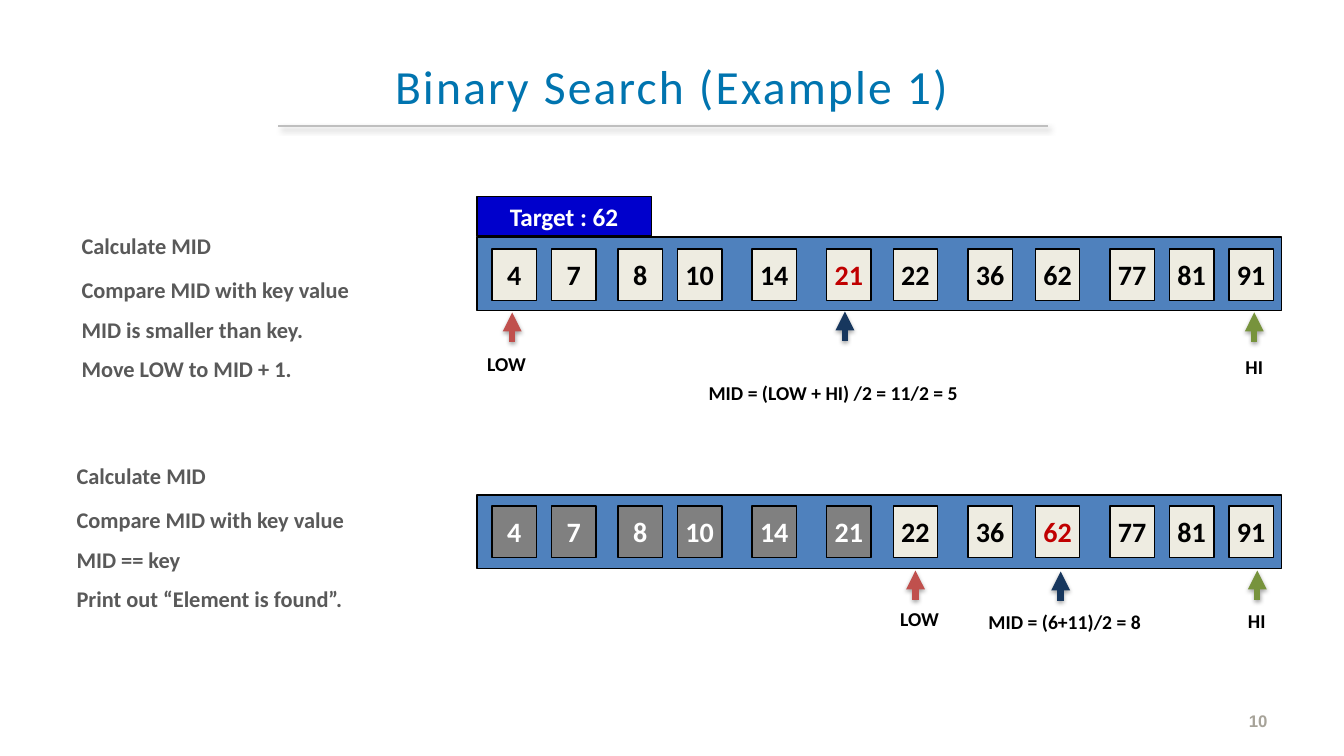
from lxml import etree
from pptx import Presentation
from pptx.dml import color
from pptx.enum import shapes, text
from pptx.oxml import ns
from pptx import util as u

PX = 9144
TITLE = "Binary Search (Example 1)"
VALUES = [4, 7, 8, 10, 14, 21, 22, 36, 62, 77, 81, 91]
LEFTS = [488, 547, 613, 672, 746, 820, 886, 960, 1027, 1101, 1160, 1219]
RED, NAVY, GREEN = "C0504D", "17375E", "77933C"
ROUNDS = [
    dict(
        top=235, cell=247, low=0, mid=5,
        place=(71, 225),
        steps=["Calculate MID", "Compare MID with key value",
               "MID is smaller than key.", "Move LOW to MID + 1."],
        arrows=[(508, 310, RED), (838, 309, NAVY), (1244, 310, GREEN)],
        labels=[("LOW", 456, 344, 93), ("HI", 1173, 347, 142),
                ("MID = (LOW + HI) /2 = 11/2 = 5", 605, 373, 443)],
    ),
    dict(
        top=491, cell=502, low=6, mid=8,
        place=(66, 453),
        steps=["Calculate MID", "Compare MID with key value",
               "MID == key", "Print out “Element is found”."],
        arrows=[(908, 566, RED), (1052, 567, NAVY), (1247, 566, GREEN)],
        labels=[("LOW", 864, 597, 96), ("HI", 1186, 599, 121),
                ("MID = (6+11)/2 = 8", 925, 600, 262)],
    ),
]
GAPS = [0, 12.5, 9.3, 8.8]


def rgb(tone):
    return color.RGBColor.from_string(tone)


def px(*nums):
    return [u.Emu(n * PX) for n in nums]


def style(para, size, tone, bold=True, face="Calibri", align=text.PP_ALIGN.CENTER):
    para.alignment = align
    for run in para.runs:
        font = run.font
        font.size, font.bold, font.name = u.Pt(size), bold, face
        font.color.rgb = rgb(tone)


def box(home, spot, fill, words="", size=20, tone="000000"):
    rect = home.add_shape(shapes.MSO_SHAPE.RECTANGLE, *px(*spot))
    rect.shadow.inherit = False
    rect.fill.solid()
    rect.fill.fore_color.rgb = rgb(fill)
    rect.line.color.rgb = rgb("000000")
    rect.line.width = u.Pt(1)
    if words:
        frame = rect.text_frame
        frame.word_wrap = False
        frame.vertical_anchor = text.MSO_ANCHOR.MIDDLE
        frame.text = words
        style(frame.paragraphs[0], size, tone)


def label(words, spot, size=14, tone="000000", **kind):
    frame = slide.shapes.add_textbox(*px(*spot)).text_frame
    frame.word_wrap = True
    frame.text = words
    style(frame.paragraphs[0], size, tone, **kind)
    return frame


def node(home, tag, **attrs):
    return etree.SubElement(home, ns.qn(tag), {k: str(v) for k, v in attrs.items()})


def line(ends, tone, width, blur, dist, angle, alpha, arrow=False):
    link = slide.shapes.add_connector(shapes.MSO_CONNECTOR.STRAIGHT, *px(*ends))
    link.line.color.rgb = rgb(tone)
    link.line.width = u.Pt(width)
    if arrow:
        node(link.line._get_or_add_ln(), "a:tailEnd", type="triangle")
    glow = node(node(link._element.spPr, "a:effectLst"), "a:outerShdw",
                blurRad=u.Pt(blur), dist=u.Pt(dist), dir=angle * 60000, rotWithShape=0)
    node(node(glow, "a:srgbClr", val="000000"), "a:alpha", val=alpha * 1000)


def seat(shape, spot):
    shape.left, shape.top, shape.width, shape.height = px(*spot)
    shape.text_frame.auto_size = text.MSO_AUTO_SIZE.NONE
    shape.text_frame.word_wrap = True
    return shape.text_frame


def list_steps(shape, part):
    frame = seat(shape, (*part["place"], 324, 162))
    frame.vertical_anchor = text.MSO_ANCHOR.TOP
    frame.text = "\n".join(part["steps"])
    for para, gap in zip(frame.paragraphs, GAPS):
        style(para, 16, "595959", align=text.PP_ALIGN.LEFT)
        para.space_before = u.Pt(gap)
        props = para._p.get_or_add_pPr()
        props.set("marL", "0")
        props.set("indent", "0")
        node(props, "a:buNone")


def draw_array(part):
    group = slide.shapes.add_group_shape().shapes
    box(group, (473, part["top"], 798, 73), "4F81BD")
    for i, (value, left) in enumerate(zip(VALUES, LEFTS)):
        out = i < part["low"]
        fill = "808080" if out else "EEECE1"
        tone = "FFFFFF" if out else "C00000" if i == part["mid"] else "000000"
        box(group, (left, part["cell"], 44, 51), fill, str(value), tone=tone)


prs = Presentation()
prs.slide_width, prs.slide_height = px(1333, 750)
slide = prs.slides.add_slide(prs.slide_layouts[3])
head, *lists = slide.placeholders

frame = seat(head, (0, 0, 1333, 176))
frame.vertical_anchor = text.MSO_ANCHOR.MIDDLE
frame.margin_left, frame.margin_right = px(50, 50)
frame.text = TITLE
para = frame.paragraphs[0]
para.line_spacing = 0.9
style(para, 34, "0074AF", bold=False)
para.runs[0].font._element.set("spc", "160")
line((276, 125, 1039, 125), "BFBFBF", 1, 4, 3, 45, 40)

for part, shape in zip(ROUNDS, lists):
    list_steps(shape, part)
    draw_array(part)
    for x, tip, tone in part["arrows"]:
        line((x, tip + 29, x, tip), tone, 4.5, 3.1, 1.8, 90, 35, arrow=True)
    for words, left, top, width in part["labels"]:
        label(words, (left, top, width, 34))

box(slide.shapes, (473, 195, 173, 39), "0000CC", "Target : 62", 18, "FFFFFF")
frame = label("10", (956, 695, 311, 40), 12, "A7A399", face="Arial", align=text.PP_ALIGN.RIGHT)
frame.vertical_anchor = text.MSO_ANCHOR.MIDDLE

prs.save("out.pptx")
